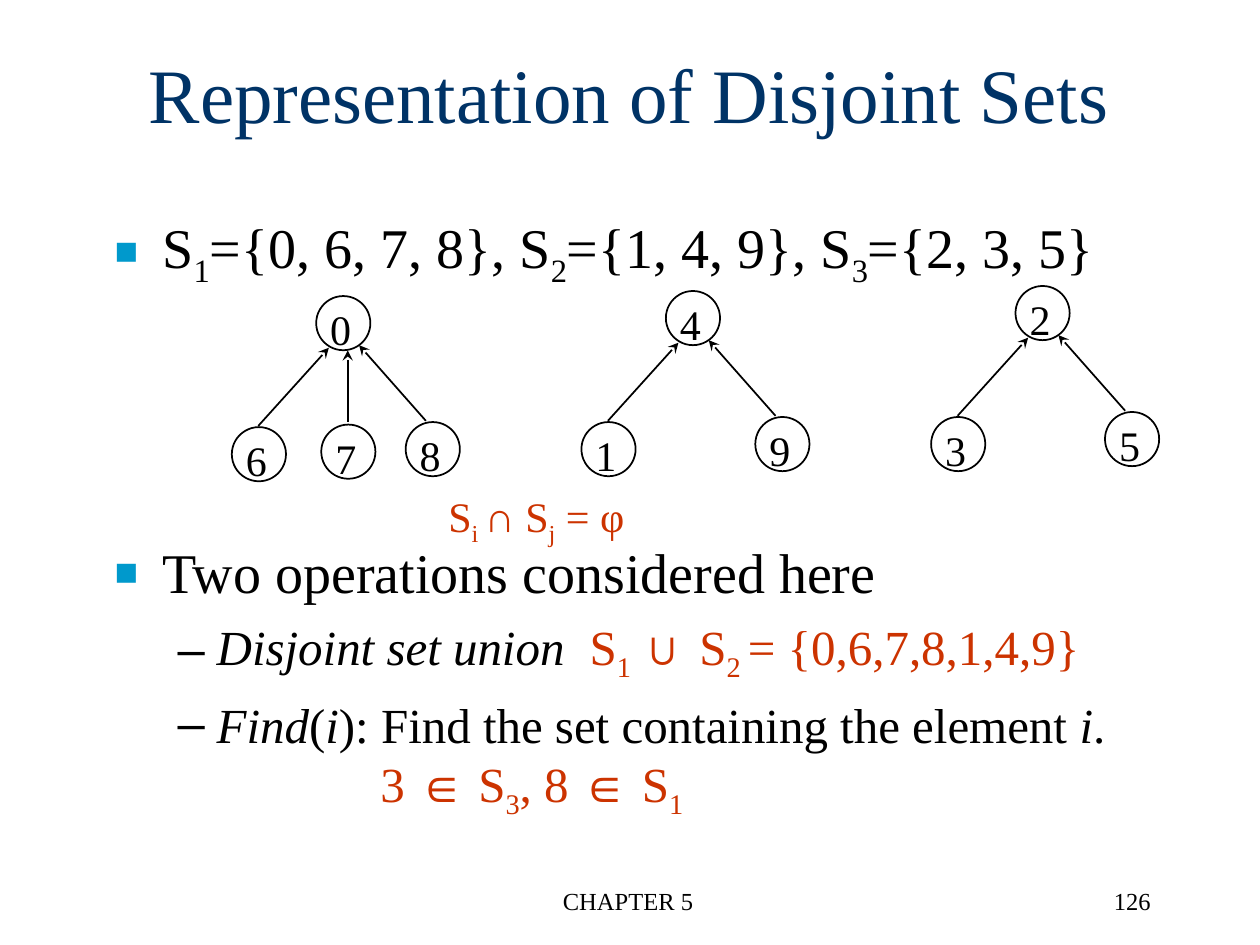
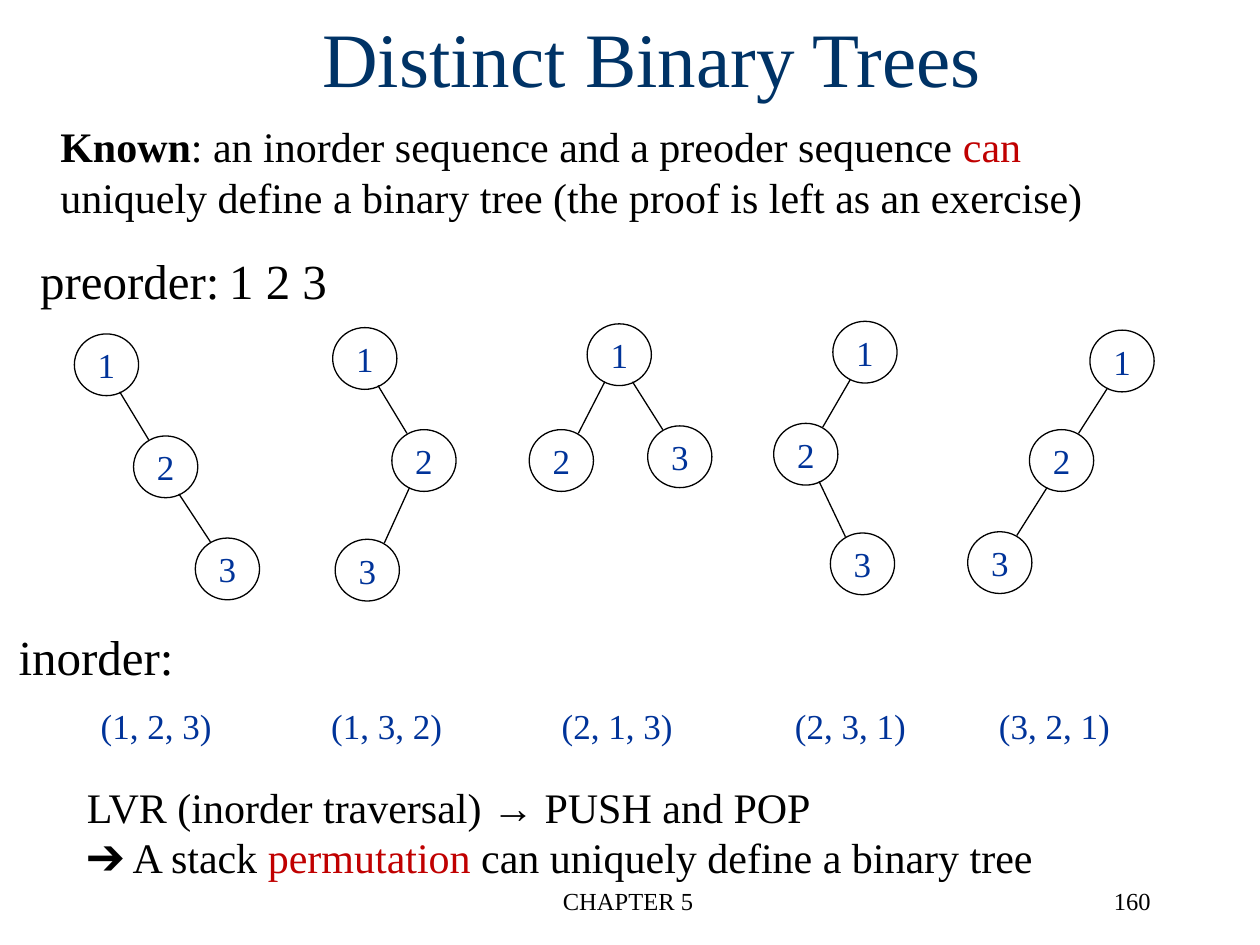
import pptx
import pptx.dml.color
import pptx.enum.shapes
import pptx.enum.text
import pptx.oxml
import pptx.oxml.ns
import pptx.util

COLS, ROWS = 100, 75
BLACK, NAVY, BLUE, RUST, RED, CYAN = "000000", "003366", "003399", "CC3300", "C00000", "0099CC"
ALIGN = pptx.enum.text.PP_ALIGN
LEFT, CENTER, RIGHT = ALIGN.LEFT, ALIGN.CENTER, ALIGN.RIGHT
TOP, MIDDLE = pptx.enum.text.MSO_ANCHOR.TOP, pptx.enum.text.MSO_ANCHOR.MIDDLE
SUB = {"sub": True}
ITALIC = {"italic": True}


def rgb(value):
    return pptx.dml.color.RGBColor.from_string(value)


def add_xml(parent, tag, **attrs):
    el = pptx.oxml.parse_xml(f"<a:{tag} {pptx.oxml.ns.nsdecls('a')}/>")
    for name, value in attrs.items():
        el.set(name, str(value))
    parent.append(el)
    return el


class Deck:
    """Lecture deck style on a grid of 100 columns by 75 rows."""

    font = "Times New Roman"

    def __init__(self):
        self.prs = pptx.Presentation()
        self.prs.slide_width = pptx.util.Inches(10)
        self.prs.slide_height = pptx.util.Inches(7.5)
        self.s = None

    def x(self, cols):
        return int(self.prs.slide_width * cols / COLS)

    def y(self, rows):
        return int(self.prs.slide_height * rows / ROWS)

    def box(self, left, top, width, height):
        return self.x(left), self.y(top), self.x(width), self.y(height)

    def slide(self, layout, title, title_box, anchor, number):
        self.s = self.prs.slides.add_slide(self.prs.slide_layouts[layout])
        tf = self.place(self.s.shapes.title, title_box, anchor)
        self.add_runs(tf.paragraphs[0], [title], 44, NAVY, CENTER)
        self.text((34, 69.8, 31.7, 5), [["CHAPTER 5"]], 14, align=CENTER)
        self.text((71.5, 69.8, 20.8, 5), [[number]], 14, align=RIGHT)

    def place(self, sp, box, anchor=TOP):
        sp.left, sp.top, sp.width, sp.height = self.box(*box)
        tf = sp.text_frame
        tf.auto_size = pptx.enum.text.MSO_AUTO_SIZE.NONE
        tf.word_wrap = True
        tf.vertical_anchor = anchor
        return tf

    def add_runs(self, p, runs, size, color=BLACK, align=LEFT):
        p.alignment = align
        for run in runs:
            text, look = (run, {}) if isinstance(run, str) else run
            r = p.add_run()
            r.text = text
            r.font.name = self.font
            r.font.size = pptx.util.Pt(size)
            r.font.bold = look.get("bold", False)
            r.font.italic = look.get("italic", False)
            r.font.color.rgb = rgb(look.get("color", color))
            if look.get("sub"):
                r._r.get_or_add_rPr().set("baseline", "-25000")

    def text(self, box, lines, size, color=BLACK, align=LEFT, wrap=True):
        tf = self.s.shapes.add_textbox(*self.box(*box)).text_frame
        tf.word_wrap = wrap
        for i, runs in enumerate(lines):
            p = tf.add_paragraph() if i else tf.paragraphs[0]
            self.add_runs(p, runs, size, color, align)

    def body(self, box, items):
        tf = self.place(self.s.placeholders[1], box)
        for i, (kind, before, runs) in enumerate(items):
            p = tf.add_paragraph() if i else tf.paragraphs[0]
            p.space_before = pptx.util.Pt(before)
            pPr = p._p.get_or_add_pPr()
            margin, hang = {"point": (3.8, 3.8), "dash": (8.1, 3.1), "result": (21.1, 0)}[kind]
            pPr.set("marL", str(self.x(margin)))
            pPr.set("indent", str(-self.x(hang)))
            if kind == "point":
                add_xml(add_xml(pPr, "buClr"), "srgbClr", val=CYAN)
                add_xml(pPr, "buSzPct", val=70000)
                add_xml(pPr, "buChar", char="■")
            elif kind == "dash":
                p.level = 1
                add_xml(pPr, "buChar", char="–")
                add_xml(add_xml(pPr, "tabLst"), "tab", pos=self.x(37.7), algn="l")
            else:
                p.level = 1
                add_xml(pPr, "buNone")
            self.add_runs(p, runs, 32 if kind == "point" else 28)

    def node(self, left, top, width, height, label, size, color, weight, nudge=(0, 0)):
        oval = pptx.enum.shapes.MSO_SHAPE.OVAL
        sp = self.s.shapes.add_shape(oval, *self.box(left, top, width, height))
        sp.shadow.inherit = False
        sp.fill.background()
        sp.line.color.rgb = rgb(BLACK)
        sp.line.width = pptx.util.Pt(weight)
        tf = sp.text_frame
        tf.word_wrap = False
        tf.vertical_anchor = MIDDLE
        tf.margin_left = tf.margin_bottom = 0
        tf.margin_right, tf.margin_top = self.x(nudge[0]), self.y(nudge[1])
        self.add_runs(tf.paragraphs[0], [label], size, color, CENTER)

    def edge(self, x1, y1, x2, y2, weight, arrow=False):
        straight = pptx.enum.shapes.MSO_CONNECTOR.STRAIGHT
        ends = self.x(x1), self.y(y1), self.x(x2), self.y(y2)
        sp = self.s.shapes.add_connector(straight, *ends)
        sp.line.color.rgb = rgb(BLACK)
        sp.line.width = pptx.util.Pt(weight)
        if arrow:
            add_xml(sp.line._get_or_add_ln(), "headEnd", type="stealth")
        add_xml(sp._element.spPr, "effectLst")

    def set_tree(self, left, top, root, children):
        branches = {
            "left": ((-6.7, 10.4), (1, 4.1, -4.6, 10.3)),
            "middle": ((0.4, 10.2), (2.5, 4.3, 2.5, 10)),
            "right": ((7.1, 10), (3.4, 3.9, 8.7, 9.9)),
        }
        spots = [(0, 0, root)]
        for side, label in children.items():
            (dx, dy), (x1, y1, x2, y2) = branches[side]
            spots.append((dx, dy, label))
            self.edge(left + x1, top + y1, left + x2, top + y2, 1, arrow=True)
        for dx, dy, label in spots:
            self.node(left + dx, top + dy, 4.3, 4.3, label, 24, BLACK, 1, (0.4, 0.9))

    def binary_tree(self, nodes, links):
        for label, (left, top) in nodes.items():
            self.node(left, top, 5.1, 4.9, label, 20, BLUE, 0.75)
        for parent, child in links:
            (px, py), (cx, cy) = nodes[parent], nodes[child]
            out, into = (3.6, 1.2) if cx > px else (1.4, 3.9)
            self.edge(px + out, py + 4.6, cx + into, cy + 0.3, 0.75)


def disjoint_sets(deck):
    deck.slide(1, "Representation of Disjoint Sets", (5.7, 1.1, 88.5, 12.5), MIDDLE, "126")
    red, red_sub = {"color": RUST}, {"color": RUST, "sub": True}
    deck.body((8.1, 16.4, 88.5, 45), [
        ("point", 0, ["S", ("1", SUB), "={0, 6, 7, 8}, S", ("2", SUB), "={1, 4, 9}, S",
                      ("3", SUB), "={2, 3, 5}"]),
        ("point", 142, ["Two operations considered here"]),
        ("dash", 6.4, [("Disjoint set union", ITALIC), "\t", ("S", red), ("1 ", red_sub),
                       ("∪ S", red), ("2 ", red_sub), ("= {0,6,7,8,1,4,9}", red)]),
        ("dash", 6.4, [("Find", ITALIC), "(", ("i", ITALIC),
                       "): Find the set containing the element ", ("i", ITALIC), "."]),
        ("result", 0, [("3 ∈ S", red), ("3", red_sub), (", 8 ∈ S", red), ("1", red_sub)]),
    ])
    trees = [("0", {"left": "6", "middle": "7", "right": "8"}),
             ("4", {"left": "1", "right": "9"}),
             ("2", {"left": "3", "right": "5"})]
    for i, (root, children) in enumerate(trees):
        deck.set_tree(25.1 + 27.75 * i, 23.5 - 0.4 * i, root, children)
    deck.text((34.6, 38.4, 16.5, 5),
              [["S", ("i ", SUB), "∩ S", ("j", SUB), " = φ"]], 24, RUST, wrap=False)


def binary_trees(deck):
    deck.slide(5, "Distinct Binary Trees", (7.3, 0.3, 88.9, 12.5), TOP, "160")
    red = {"color": RED}
    deck.text((3.8, 9.1, 83.9, 9.1), [[
        ("Known", {"bold": True}), ": an inorder sequence and a preoder sequence ",
        ("can", red), " uniquely define a binary tree (the proof is left as an exercise)"]], 24)
    deck.text((2.2, 19.4, 30.1, 5.7), [["preorder:\t1 2 3"]], 28, wrap=False)
    chain, fork = ("12", "23"), ("12", "13")
    trees = [
        ("(1, 2, 3)", 7, chain, [(5.9, 26.5), (10.6, 34.6), (15.5, 42.7)]),
        ("(1, 3, 2)", 25.3, chain, [(26.4, 26), (31.1, 34.1), (26.6, 42.8)]),
        ("(2, 1, 3)", 43.6, fork, [(46.6, 25.7), (42, 34.1), (51.4, 33.8)]),
        ("(2, 3, 1)", 62.1, chain, [(66.1, 25.5), (61.4, 33.6), (65.9, 42.3)]),
        ("(3, 2, 1)", 78.3, chain, [(86.5, 26.2), (81.7, 34.1), (76.8, 42.2)]),
    ]
    for inorder, left, links, spots in trees:
        deck.binary_tree(dict(zip("123", spots)), links)
        deck.text((left, 55.4, 11.1, 4.4), [[inorder]], 20, BLUE)
    deck.text((0.5, 49.2, 14.4, 5.7), [["inorder:"]], 28, wrap=False)
    deck.text((5.9, 61.5, 83.2, 9.1), [
        ["LVR (inorder traversal) → PUSH and POP"],
        ["➔ A stack ", ("permutation", red), " can uniquely define a binary tree"]], 24)


def main():
    deck = Deck()
    disjoint_sets(deck)
    binary_trees(deck)
    deck.prs.save("out.pptx")


if __name__ == "__main__":
    main()
